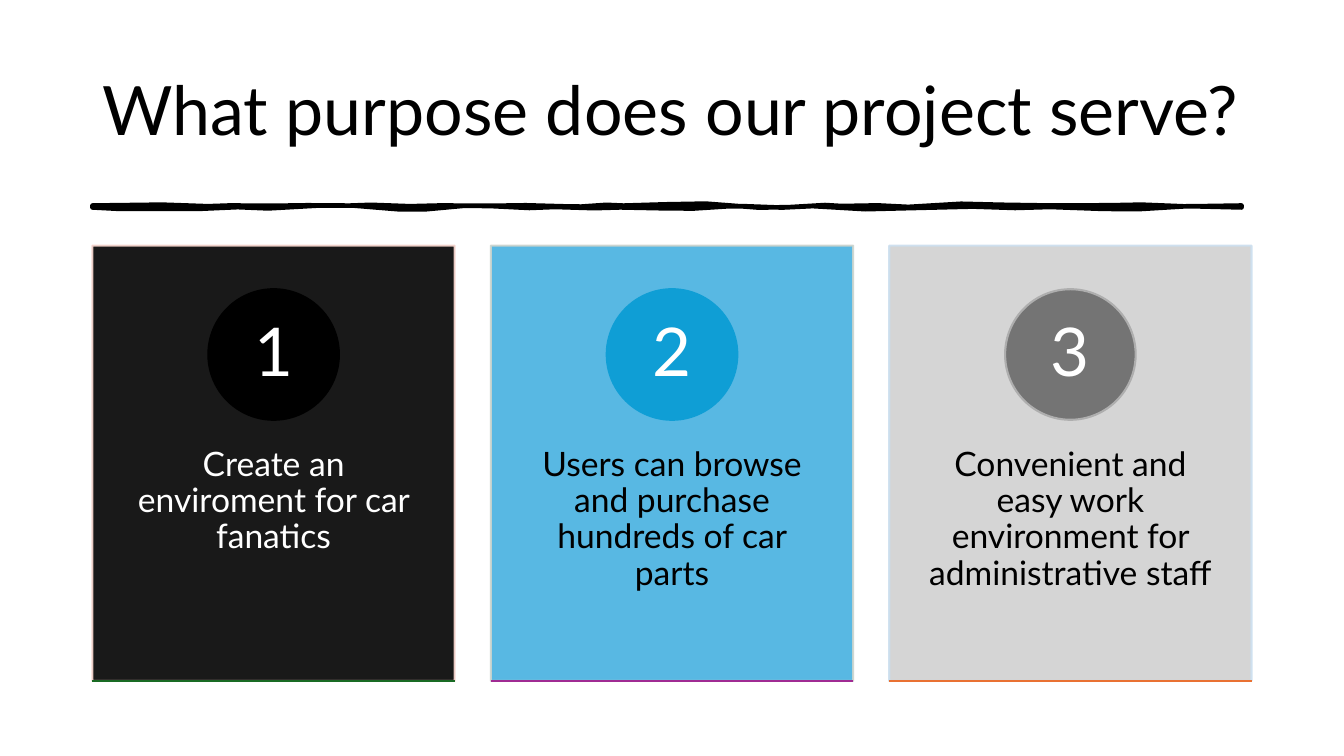
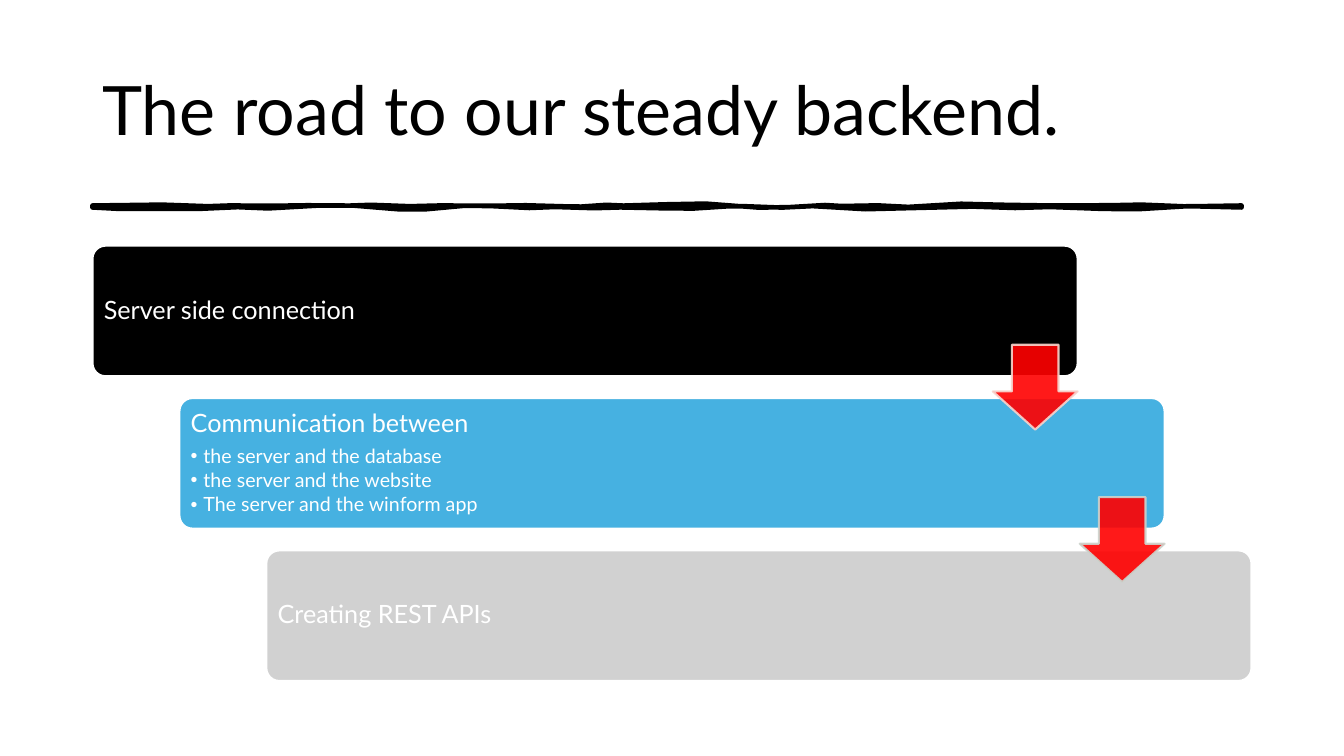
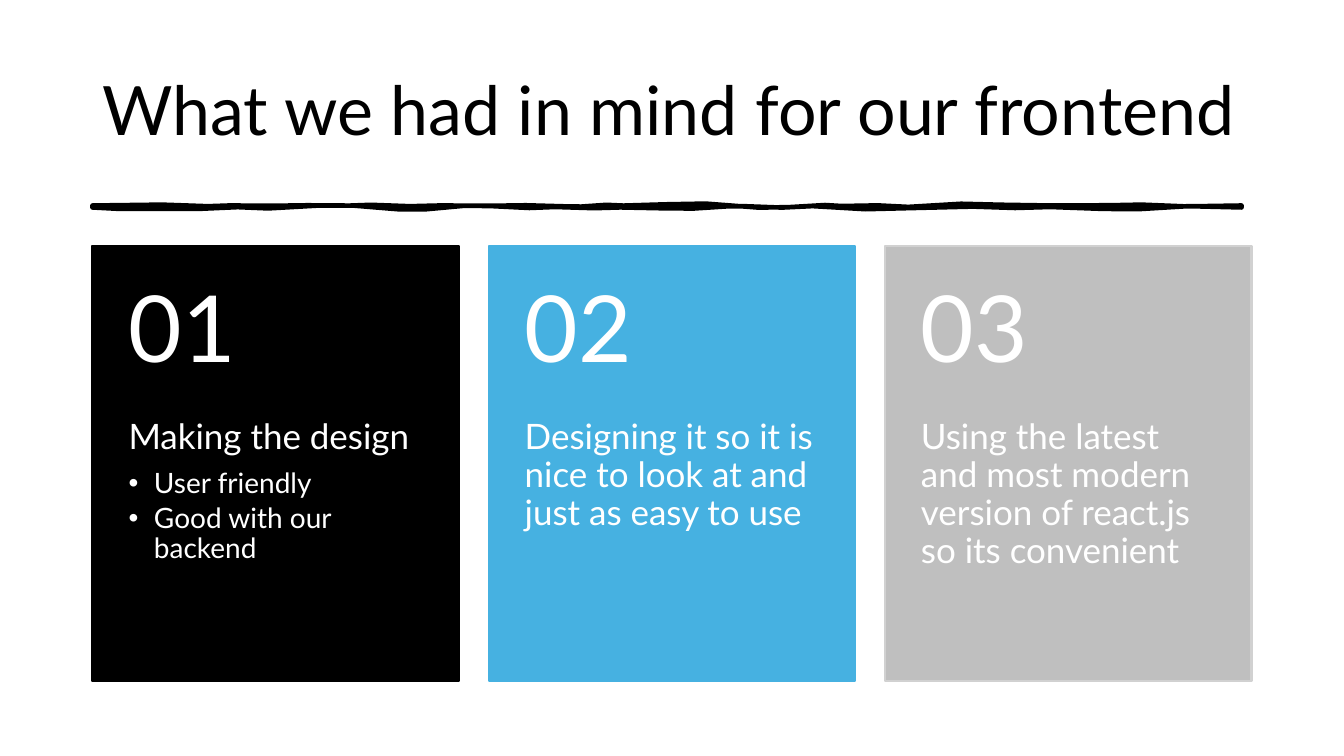
from dataclasses import dataclass

import pptx
import pptx.dml.color
import pptx.enum.shapes
import pptx.enum.text
import pptx.oxml.ns
import pptx.util
from lxml import etree

Cm = pptx.util.Cm
Pt = pptx.util.Pt
qn = pptx.oxml.ns.qn
SHAPE = pptx.enum.shapes.MSO_SHAPE
ANCHOR = pptx.enum.text.MSO_ANCHOR
ALIGN = pptx.enum.text.PP_ALIGN


@dataclass(frozen=True)
class Theme:
    font: str = "Lato"
    bullet_font: str = "Arial"
    black: str = "000000"
    white: str = "FFFFFF"
    blue: str = "46B1E1"
    deep_blue: str = "0F9ED5"
    silver: str = "D1D1D1"
    grey: str = "BFBFBF"
    dark_grey: str = "747474"
    mid_grey: str = "AEAEAE"
    red: str = "FF0000"
    green: str = "196B24"
    purple: str = "A02B93"
    orange: str = "E97132"
    pale_pink: str = "F7D5CE"
    pale_green: str = "CCD4CD"
    pale_blue: str = "CCDFEF"
    title: float = 48.6
    index: float = 66
    number: float = 48
    lead: float = 25
    card: float = 24
    sub: float = 20
    step: float = 18
    step_sub: float = 14
    outline: float = 1.5
    brush: float = 3.25


@dataclass(frozen=True)
class Box:
    """A rectangle in centimetres."""
    x: float
    y: float
    w: float
    h: float

    def lengths(self):
        return [Cm(v) for v in (self.x, self.y, self.w, self.h)]


T = Theme()
TITLE = Box(2.33, 1.02, 29.21, 3.68)
RULE = Box(2.33, 5.18, 28.96, 0.05)
BODY = Box(2.33, 6.19, 29.21, 10.97)

# Brush stroke edges: end of each curve in cm, and the pull of its two
# handles away from the edge in quarter millimetres (positive is down).
UPPER_EDGE = [
    (4.83, 0, -2), (6.2, 2, -1), (8.41, 1, -1), (9.75, 1, -2),
    (11.68, 2, -1), (13.92, 1, -1), (14.96, 1, 2), (16.03, -2, 1),
    (18.54, -1, -4), (20.47, 4, 2), (21.54, -2, 2), (23.47, -2, 4),
    (25.98, -4, 0), (27.61, 0, 0), (29.26, 0, -2), (31.29, 2, 0),
]
LOWER_EDGE = [
    (29.36, 0, -3), (27.13, 3, 2), (24.92, -2, 2), (23.57, -2, 0),
    (21.06, 0, 4), (19.13, -4, 2), (18.06, -2, -2), (16.13, 2, 1),
    (14.48, -1, 2), (12.85, -2, 2), (11.2, -2, -3), (9.58, 3, 3),
    (7.34, -3, -3), (5.41, 3, -2), (4.34, 2, 2), (2.33, 2, 2),
]


def rgb(colour):
    return pptx.dml.color.RGBColor.from_string(colour)


def paint(s, fill, line, width=T.outline, opacity=100):
    s.shadow.inherit = False
    s.fill.solid()
    s.fill.fore_color.rgb = rgb(fill)
    s.line.color.rgb = rgb(line)
    s.line.width = Pt(width)
    if opacity < 100:
        for colour in s.element.spPr.iter(qn("a:srgbClr")):
            etree.SubElement(colour, qn("a:alpha"), val=str(opacity * 1000))


def add_shape(slide, kind, box, fill, line, adjust=(), opacity=100):
    s = slide.shapes.add_shape(kind, *box.lengths())
    for i, value in enumerate(adjust):
        s.adjustments[i] = value
    paint(s, fill, line, opacity=opacity)
    return s


def write(s, text, size, colour=T.white, bullets=(), bullet_size=None,
          indent=0, align=ALIGN.LEFT, anchor=ANCHOR.TOP,
          inset=(0.25, 0.13, 0.25, 0.13)):
    """Fill a shape with a lead paragraph and optional bullets."""
    tf = s.text_frame
    tf.word_wrap = True
    tf.vertical_anchor = anchor
    (tf.margin_left, tf.margin_top,
     tf.margin_right, tf.margin_bottom) = map(Cm, inset)
    rows = [(text, size, 0.35)] + [(b, bullet_size, 0.15) for b in bullets]
    for i, (words, points, gap) in enumerate(rows):
        p = tf.add_paragraph() if i else tf.paragraphs[0]
        p.alignment = align
        p.line_spacing = 0.9
        p.space_after = Pt(points * gap)
        r = p.add_run()
        r.text = words
        r.font.name = T.font
        r.font.size = Pt(points)
        r.font.color.rgb = rgb(colour)
        if i:
            pPr = p._p.get_or_add_pPr()
            pPr.set("marL", str(Cm(indent)))
            pPr.set("indent", str(-Cm(indent)))
            etree.SubElement(pPr, qn("a:buFont"), typeface=T.bullet_font)
            etree.SubElement(pPr, qn("a:buChar"), char="•")


def add_text(slide, box, text, size, **fmt):
    write(slide.shapes.add_textbox(*box.lengths()), text, size, **fmt)


def trace(start, y, edge):
    """Two points on each of the curves that form one edge, and its end."""
    points = []
    for end, pull1, pull2 in edge:
        for t in (0.3, 0.7):
            bend = 3 * t * (1 - t) * ((1 - t) * pull1 + t * pull2)
            points.append((Cm(start + (end - start) * t),
                           Cm(y + 0.025 * bend)))
        start = end
    return points + [(Cm(start), Cm(y))]


def add_brush_rule(slide, box):
    right, bottom = box.x + box.w, box.y + box.h
    points = trace(box.x, box.y, UPPER_EDGE)
    points += [(Cm(right), Cm(bottom))]
    points += trace(right, bottom, LOWER_EDGE)
    builder = slide.shapes.build_freeform(Cm(box.x), Cm(box.y), scale=1.0)
    builder.add_line_segments(points, close=True)
    paint(builder.convert_to_shape(), T.black, T.black, T.brush)


def add_titled_slide(prs, title):
    slide = prs.slides.add_slide(prs.slide_layouts[6])
    add_text(slide, TITLE, title, T.title, colour=T.black,
             anchor=ANCHOR.MIDDLE)
    add_brush_rule(slide, RULE)
    return slide


def spread(start, length, size, n):
    """Starts of n parts of one size, evenly spaced over a length."""
    return [start + i * (length - size) / (n - 1) for i in range(n)]


def columns(box, width, n):
    return [Box(x, box.y, width, box.h)
            for x in spread(box.x, box.w, width, n)]


def add_badge_card(slide, box, number, text, ink, fill, line, disc, ring,
                   base):
    card = add_shape(slide, SHAPE.RECTANGLE, box, fill, line, opacity=90)
    write(card, text, T.card, colour=ink, align=ALIGN.CENTER,
          inset=(0.75, 0.38 * box.h + 0.91, 0.75, 0.91))
    d = 0.3 * box.h
    badge = add_shape(
        slide, SHAPE.OVAL,
        Box(box.x + (box.w - d) / 2, box.y + 0.1 * box.h, d, d), disc, ring)
    write(badge, number, T.number, align=ALIGN.CENTER, anchor=ANCHOR.MIDDLE,
          inset=(0.25, 0.03, 0.25, 0.03))
    bottom = Cm(box.y + box.h)
    c = slide.shapes.add_connector(
        pptx.enum.shapes.MSO_CONNECTOR.STRAIGHT,
        Cm(box.x), bottom, Cm(box.x + box.w), bottom)
    c.line.color.rgb = rgb(base)
    c.line.width = Pt(T.outline)
    etree.SubElement(c.element.spPr, qn("a:effectLst"))


def add_index_card(slide, box, index, text, fill, line, bullets=()):
    add_shape(slide, SHAPE.RECTANGLE, box, fill, line)
    head = 0.4 * box.h
    add_text(slide, Box(box.x, box.y + head, box.w, box.h - head), text,
             T.lead, bullets=bullets, bullet_size=T.sub, indent=0.64,
             inset=(0.91, 0, 0.91, 0.91))
    add_text(slide, Box(box.x, box.y, box.w, head), index, T.index,
             anchor=ANCHOR.MIDDLE, inset=(0.91, 0.46, 0.91, 0.46))


def add_staircase(slide, box, steps, arrow_lines):
    """Steps going down to the right, with an arrow over each gap."""
    w, h, arrow = 0.85 * box.w, 0.3 * box.h, 0.195 * box.h
    n = len(steps)
    lefts = spread(box.x, box.w, w, n)
    tops = spread(box.y, box.h, h, n)
    for x, y, (text, fill, bullets) in zip(lefts, tops, steps):
        s = add_shape(slide, SHAPE.ROUNDED_RECTANGLE, Box(x, y, w, h), fill,
                      T.white, adjust=[0.1])
        write(s, text, T.step, bullets=bullets, bullet_size=T.step_sub,
              indent=0.32, anchor=ANCHOR.MIDDLE, inset=[0.19] * 4)
    for x, y, below, line in zip(lefts, tops, tops[1:], arrow_lines):
        middle = (y + h + below) / 2
        add_shape(slide, SHAPE.DOWN_ARROW,
                  Box(x + w - arrow, middle - arrow / 2, arrow, arrow),
                  T.red, line, adjust=[0.55, 0.45], opacity=90)


def purpose_slide(prs):
    slide = add_titled_slide(prs, "What purpose does our project serve?")
    cards = [
        ("1", "Create an enviroment for car fanatics", T.white,
         T.black, T.pale_pink, T.black, T.black, T.green),
        ("2", "Users can browse and purchase hundreds of car parts", T.black,
         T.blue, T.pale_green, T.deep_blue, T.deep_blue, T.purple),
        ("3", "Convenient and easy work environment for administrative staff",
         T.black, T.silver, T.pale_blue, T.dark_grey, T.mid_grey, T.orange),
    ]
    for box, card in zip(columns(BODY, 9.13, len(cards)), cards):
        add_badge_card(slide, box, *card)


def backend_slide(prs):
    slide = add_titled_slide(prs, "The road to our steady backend.")
    steps = [
        ("Server side connection", T.black, ()),
        ("Communication between", T.blue,
         ("the server and the database", "the server and the website",
          "The server and the winform app")),
        ("Creating REST APIs", T.silver, ()),
    ]
    add_staircase(slide, BODY, steps, [T.pale_pink, T.pale_green])


def frontend_slide(prs):
    slide = add_titled_slide(prs, "What we had in mind for our frontend")
    cards = [
        ("01", "Making the design", T.black, T.black,
         ("User friendly", "Good with our backend")),
        ("02", "Designing it so it is nice to look at and just as easy to use",
         T.blue, T.blue),
        ("03", "Using the latest and most modern version of react.js so its "
         "convenient", T.grey, T.silver),
    ]
    for box, card in zip(columns(BODY, 9.24, len(cards)), cards):
        add_index_card(slide, box, *card)


def main():
    prs = pptx.Presentation()
    prs.slide_width, prs.slide_height = Cm(33.87), Cm(19.05)
    purpose_slide(prs)
    backend_slide(prs)
    frontend_slide(prs)
    prs.save("out.pptx")


if __name__ == "__main__":
    main()
